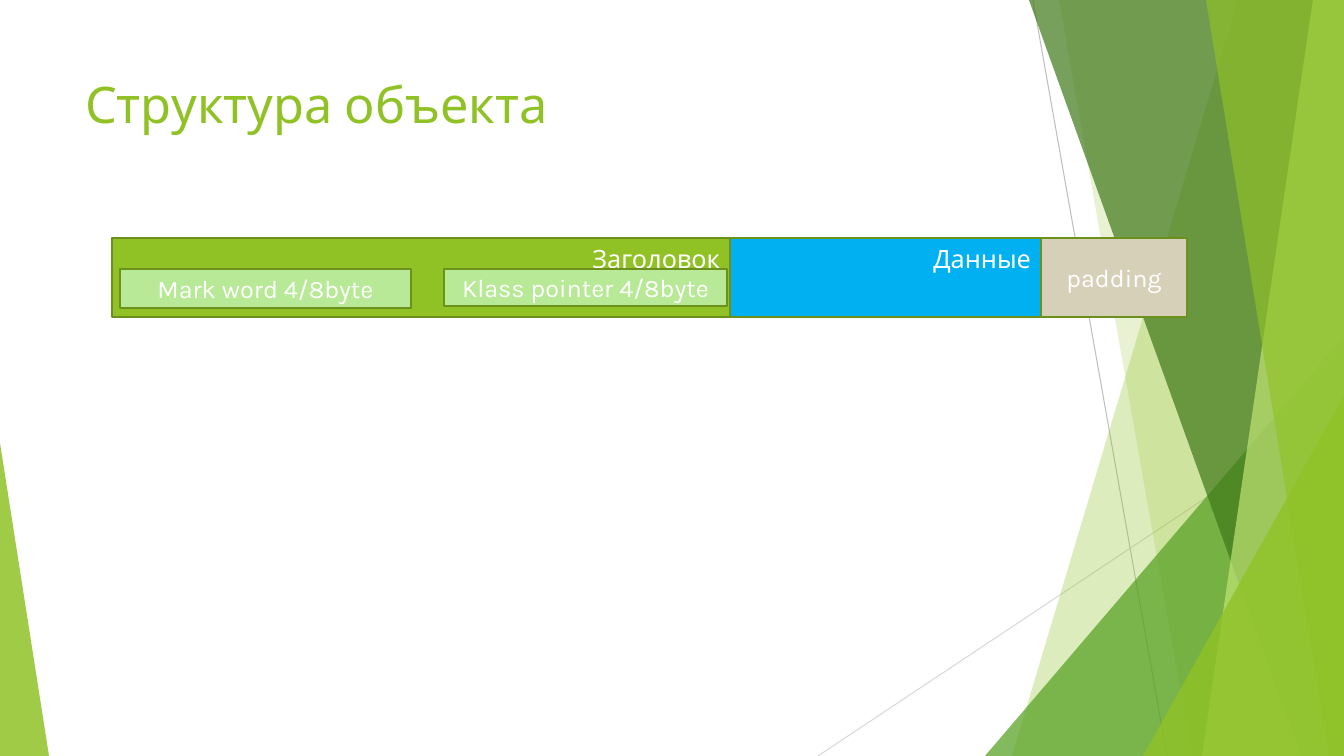
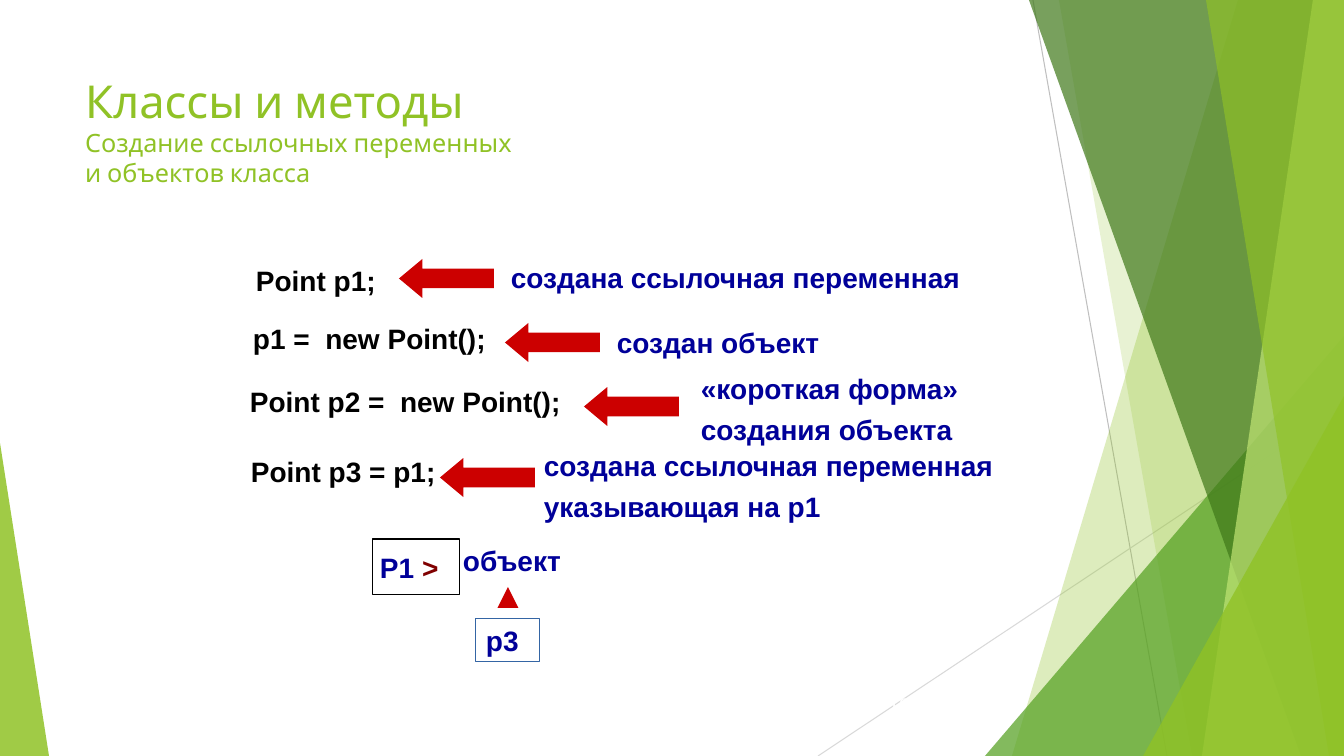
from lxml.etree import SubElement
from pptx import Presentation
from pptx.dml.color import RGBColor
from pptx.enum.shapes import MSO_CONNECTOR, MSO_SHAPE as SHAPE
from pptx.enum.text import MSO_ANCHOR as ANCHOR, MSO_AUTO_SIZE, PP_ALIGN as ALIGN
from pptx.oxml.ns import qn
from pptx.util import Pt

PX = 914400 / 100.8
WIDTH, HEIGHT = 1344, 756
COLORS = {
    "lime": "90C226", "green": "54A021", "forest": "3F7819", "pale": "C0E474",
    "outline": "6B901C", "mint": "B7E996", "sky": "00B0F0", "sand": "D6D0B8",
    "gray": "BFBFBF", "silver": "D9D9D9", "white": "FFFFFF", "black": "000000",
    "red": "CC0000", "navy": "000099", "maroon": "800000", "steel": "3465A4",
}


def paint(shape, fill=None, line=None, weight=0.75):
    shape.shadow.inherit = False
    if fill:
        shape.fill.solid()
        shape.fill.fore_color.rgb = RGBColor.from_string(COLORS[fill])
    else:
        shape.fill.background()
    if line:
        shape.line.color.rgb = RGBColor.from_string(COLORS[line])
        shape.line.width = Pt(weight)
    else:
        shape.line.fill.background()


def write(para, text, size, color, font="Arial", bold=False, align=ALIGN.LEFT):
    para.alignment = align
    span = para.add_run()
    span.text = text
    span.font.size = Pt(size)
    span.font.name = font
    span.font.bold = bold
    span.font.color.rgb = RGBColor.from_string(COLORS[color])


deck = Presentation()
deck.slide_width, deck.slide_height = round(WIDTH * PX), round(HEIGHT * PX)

# Shared layout: title position
layout = deck.slide_layouts[5]
for holder in list(layout.placeholders):
    if holder.placeholder_format.idx != 0:
        layout.shapes.element.remove(holder.element)
heading = layout.placeholders[0]
heading.left, heading.top, heading.width, heading.height = [
    round(v * PX) for v in (75, 68, 948, 145)]
heading.text_frame.vertical_anchor = ANCHOR.TOP
heading.text_frame.auto_size = MSO_AUTO_SIZE.NONE

object_page = deck.slides.add_slide(layout)
class_page = deck.slides.add_slide(layout)

# Shared decoration: drawn on the first page, then moved into the layout
decor = []
for color, *ends in [("gray", 1033, 0, 1167, HEIGHT), ("silver", WIDTH, 406, 818, HEIGHT)]:
    ray = object_page.shapes.add_connector(
        MSO_CONNECTOR.STRAIGHT, *[round(v * PX) for v in ends])
    ray.line.color.rgb = RGBColor.from_string(COLORS[color])
    ray.line.width = Pt(0.75)
    SubElement(ray.element.spPr, qn("a:effectLst"))
    decor.append(ray)

# Bands give top and bottom x of the left edge; triangles give left, top, width, apex
FACETS = [
    ("lime", 30, (1238, 1012)),
    ("lime", 20, (1059, 1192)),
    ("green", 72, (985, 336, 359, 1)),
    ("forest", 70, (1029, 1301)),
    ("pale", 70, (1313, 1202)),
    ("lime", 65, (1206, 1329)),
    ("lime", 80, (1143, 396, 201, 1)),
    ("lime", 85, (0, 443, 49, 0)),
]
for color, opacity, geometry in FACETS:
    if len(geometry) == 2:
        top_x, bottom_x = geometry
        outline = object_page.shapes.build_freeform(top_x, 0, scale=PX)
        outline.add_line_segments([(WIDTH, 0), (WIDTH, HEIGHT), (bottom_x, HEIGHT)])
        facet = outline.convert_to_shape()
    else:
        left, top, width, apex = geometry
        facet = object_page.shapes.add_shape(
            SHAPE.ISOSCELES_TRIANGLE,
            *[round(v * PX) for v in (left, top, width, HEIGHT - top)])
        facet.adjustments[0] = apex
    paint(facet, color)
    tint = facet.element.spPr.find(".//" + qn("a:srgbClr"))
    SubElement(tint, qn("a:alpha")).set("val", str(opacity * 1000))
    decor.append(facet)
for position, shape in enumerate(decor, start=2):
    layout.shapes.element.insert(position, shape.element)

# Titles
for page, lines in [
    (object_page, [("Структура объекта", 36)]),
    (class_page, [("Классы и методы", 32.4),
                  ("Создание ссылочных переменных", 18),
                  ("и объектов класса", 18)]),
]:
    para = page.shapes.title.text_frame.paragraphs[0]
    for number, (text, size) in enumerate(lines):
        if number:
            para.add_line_break()
        write(para, text, size, "lime", "Karla")

# Object memory layout
for text, box_px, fill, align, anchor in [
    ("Заголовок", (112, 238, 618, 79), "lime", ALIGN.RIGHT, ANCHOR.TOP),
    ("Данные", (730, 238, 311, 79), "sky", ALIGN.RIGHT, ANCHOR.TOP),
    ("Mark word 4/8byte", (120, 269, 291, 39), "mint", ALIGN.CENTER, ANCHOR.MIDDLE),
    ("Klass pointer 4/8byte", (444, 269, 283, 37), "mint", ALIGN.CENTER, ANCHOR.MIDDLE),
    ("padding", (1041, 238, 146, 79), "sand", ALIGN.CENTER, ANCHOR.MIDDLE),
]:
    box = object_page.shapes.add_shape(SHAPE.RECTANGLE, *[round(v * PX) for v in box_px])
    paint(box, fill, "outline", 1.5)
    box.text_frame.word_wrap = True
    box.text_frame.vertical_anchor = anchor
    write(box.text_frame.paragraphs[0], text, 18, "white", "Karla", align=align)

# Code lines, their notes and the object label
for left, top, width, color, lines in [
    (246, 259, 155, "black", ["Point p1;"]),
    (501, 256, 546, "navy", ["создана ссылочная переменная"]),
    (243, 317, 330, "black", ["p1 =  new Point();"]),
    (607, 321, 298, "navy", ["создан объект"]),
    (240, 380, 407, "black", ["Point p2 =  new Point();"]),
    (691, 367, 381, "navy", ["«короткая форма»", "создания объекта"]),
    (241, 450, 226, "black", ["Point p3 = p1;"]),
    (534, 444, 472, "navy", ["создана ссылочная переменная", "указывающая на p1"]),
    (453, 539, 174, "navy", ["объект"]),
]:
    box = class_page.shapes.add_textbox(
        *[round(v * PX) for v in (left, top, width, 3 + 40 * len(lines))])
    frame = box.text_frame
    frame.word_wrap = True
    for number, text in enumerate(lines):
        para = frame.add_paragraph() if number else frame.paragraphs[0]
        if number:
            para.space_before = Pt(5)
        write(para, text, 20, color, bold=True)

# Arrows from notes to code
for left, top in [(399, 259), (505, 323), (584, 387), (440, 458)]:
    arrow = class_page.shapes.add_shape(
        SHAPE.LEFT_ARROW, *[round(v * PX) for v in (left, top, 95, 39)])
    arrow.adjustments[0], arrow.adjustments[1] = 0.5, 0.6
    paint(arrow, "red")

# Reference boxes
for box_px, inset, line, spans in [
    ((373, 539, 87, 56), 7, "black", [("P1 ", "navy"), (">", "maroon")]),
    ((476, 619, 64, 43), 10, "steel", [("p3", "navy")]),
]:
    box = class_page.shapes.add_shape(SHAPE.RECTANGLE, *[round(v * PX) for v in box_px])
    paint(box, line=line)
    box.text_frame.margin_left = round(inset * PX)
    box.text_frame.vertical_anchor = ANCHOR.MIDDLE
    for text, color in spans:
        write(box.text_frame.paragraphs[0], text, 20, color, bold=True)

# Pointer from p3 to the object
pointer = class_page.shapes.add_connector(
    MSO_CONNECTOR.STRAIGHT, *[round(v * PX) for v in (508, 603, 508, 587)])
pointer.line.color.rgb = RGBColor.from_string(COLORS["red"])
pointer.line.width = Pt(5)
SubElement(pointer.line._get_or_add_ln(), qn("a:tailEnd")).set("type", "triangle")
SubElement(pointer.element.spPr, qn("a:effectLst"))

# Page number
number_box = class_page.shapes.add_textbox(*[round(v * PX) for v in (789, 688, 131, 50)])
number_box.text_frame.word_wrap = True
write(number_box.text_frame.paragraphs[0], "18", 14, "white", align=ALIGN.RIGHT)

deck.save("out.pptx")
